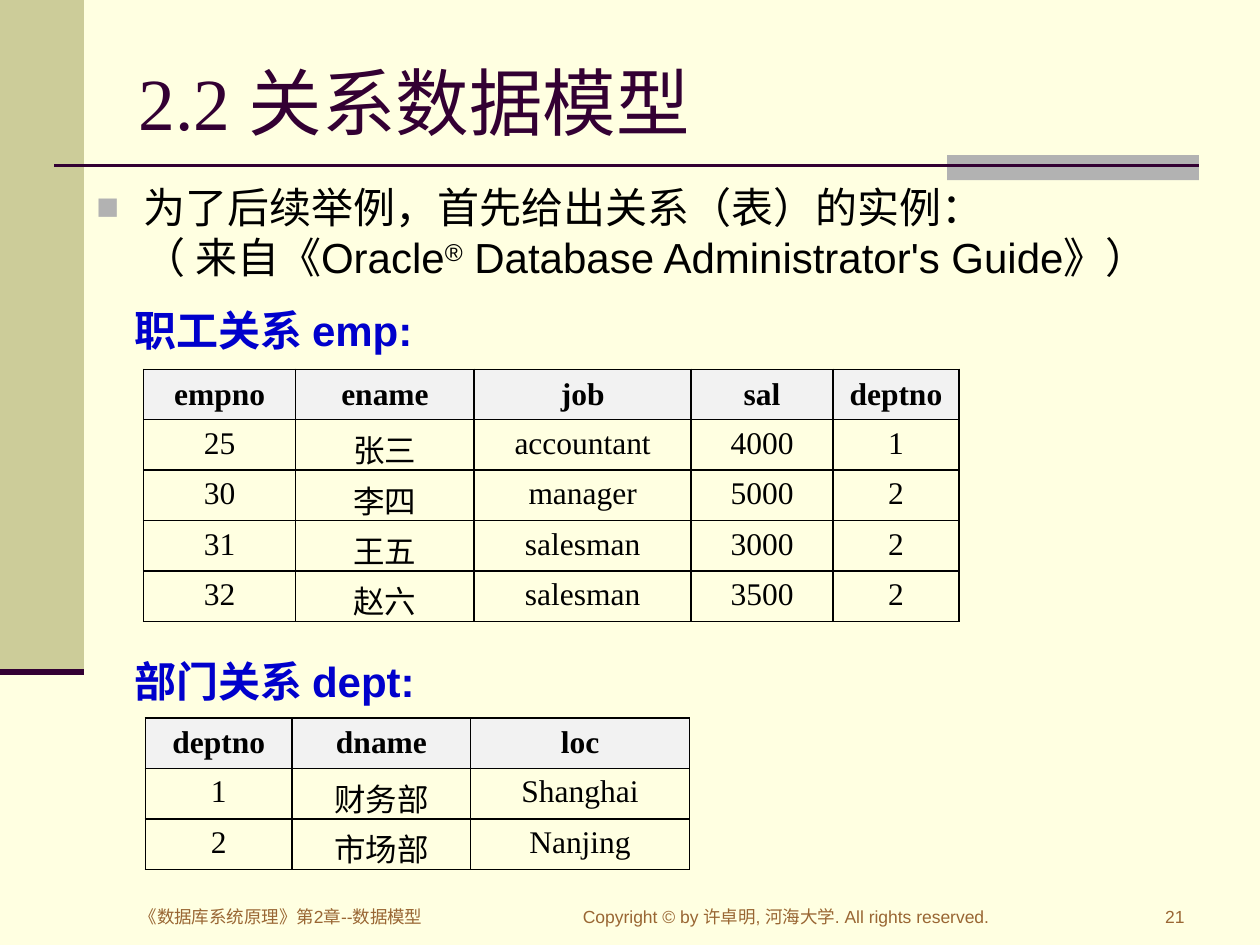
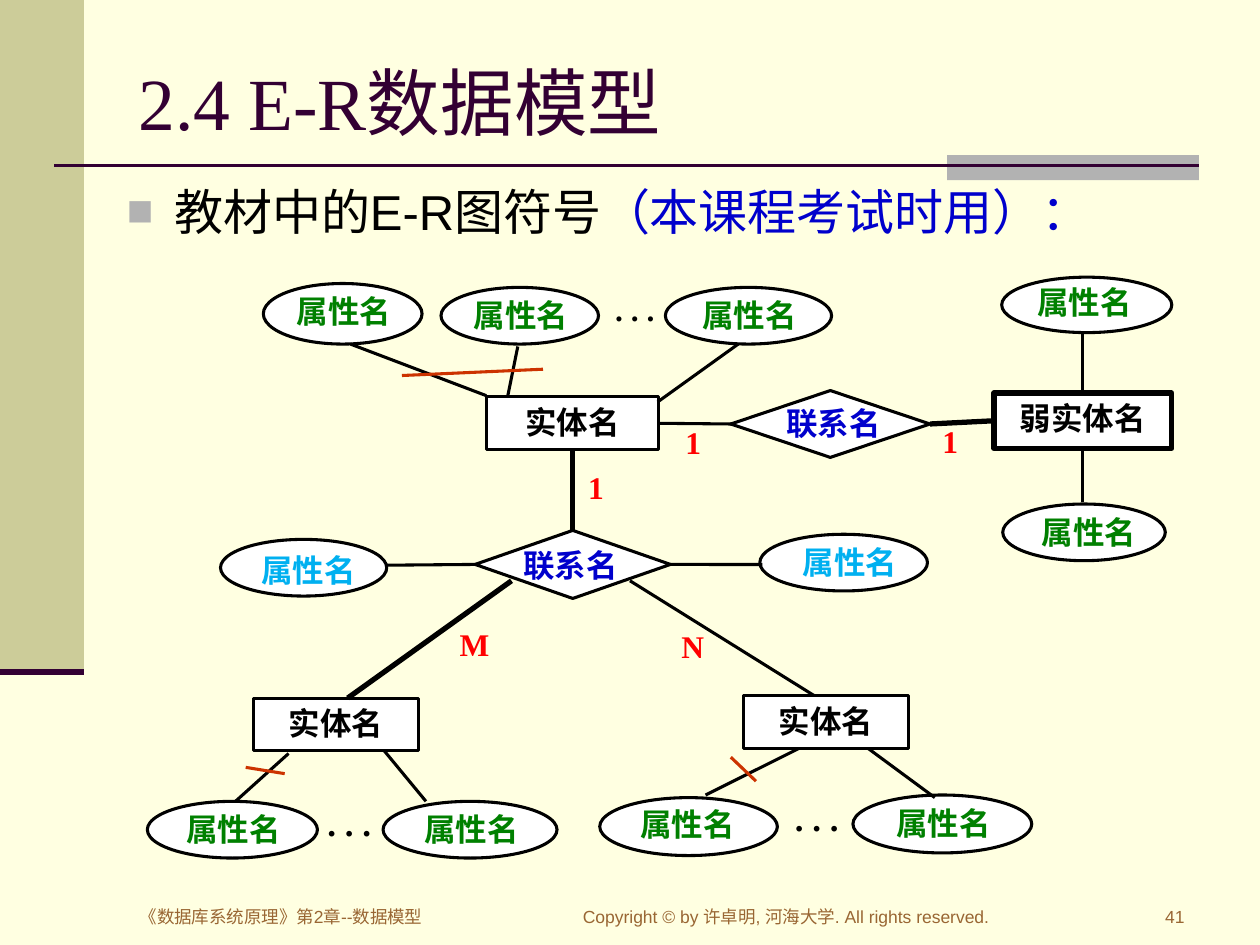
import pptx
import pptx.util
import pptx.dml.color
import pptx.enum.shapes
import pptx.enum.text
import pptx.oxml
import pptx.oxml.ns

Pt = pptx.util.Pt
hue = pptx.dml.color.RGBColor.from_string
Kind = pptx.enum.shapes.MSO_SHAPE
Align = pptx.enum.text.PP_ALIGN
Mid = pptx.enum.text.MSO_ANCHOR.MIDDLE
qn = pptx.oxml.ns.qn
space = pptx.oxml.ns.nsdecls("a")
SANS, SERIF = "Arial", "Times New Roman"
BLACK, WHITE, PLUM, BLUE = "000000", "FFFFFF", "330033", "0000CC"
GRAY, GREEN, SKY, RED, RUST = "B2B2B2", "008000", "00B0F0", "FF0000", "CC3300"


def put(slide, box, text="", size=18, font=SERIF, color=BLACK, bold=False,
        align=Align.LEFT, kind=None, fill=WHITE, line=None):
    area = [Pt(n) for n in box]
    if kind is None:
        shape = slide.shapes.add_textbox(*area)
    else:
        shape = slide.shapes.add_shape(kind, *area)
        shape.shadow.inherit = False
        shape.fill.solid()
        shape.fill.fore_color.rgb = hue(fill)
        if line:
            shape.line.color.rgb = hue(BLACK)
            shape.line.width = Pt(line)
        else:
            shape.line.fill.background()
    if text:
        frame = shape.text_frame
        frame.word_wrap = True
        frame.vertical_anchor = pptx.enum.text.MSO_ANCHOR.TOP
        frame.text = text
        par = frame.paragraphs[0]
        par.alignment = align
        for run in par.runs:
            run.font.size = Pt(size)
            run.font.name = font
            run.font.bold = bold
            run.font.color.rgb = hue(color)
    return shape


def wire(slide, ends, color=BLACK, width=1.75):
    link = slide.shapes.add_connector(
        pptx.enum.shapes.MSO_CONNECTOR.STRAIGHT, *[Pt(n) for n in ends])
    link.line.color.rgb = hue(color)
    link.line.width = Pt(width)
    link._element.spPr.append(pptx.oxml.parse_xml(f"<a:effectLst {space}/>"))
    return link


deck = pptx.Presentation()
deck.slide_width, deck.slide_height = Pt(720), Pt(540)

pages = [
    ("2.2 关系数据模型", "21", (48, 100, 641, 406), 24, [
        ("为了后续举例，首先给出关系（表）的实例：\v（ 来自《Oracle", BLACK, 0),
        ("®", BLACK, 30000),
        (" Database Administrator's Guide》）", BLACK, 0)]),
    ("2.4 E-R数据模型", "41", (65.5, 100, 612, 46), 28, [
        ("教材中的E-R图符号", BLACK, 0), ("（本课程考试时用）：", BLUE, 0)]),
]
slides = []
for title, num, box, size, parts in pages:
    slide = deck.slides.add_slide(deck.slide_layouts[6])
    slides.append(slide)
    slide.background.fill.solid()
    slide.background.fill.fore_color.rgb = hue("FFFFE1")
    put(slide, (0, 0, 48, 384), kind=Kind.RECTANGLE, fill="CCCC99")
    put(slide, (541.2, 88.6, 144, 14.4), kind=Kind.RECTANGLE, fill=GRAY)
    wire(slide, (31, 94.5, 685.2, 94.5), PLUM, 1.5)
    wire(slide, (0, 384, 48, 384), PLUM, 3.5)
    head = put(slide, (72, 21.6, 612, 72.7), title, 42, color=PLUM)
    head.text_frame.vertical_anchor = Mid

    body = put(slide, box, parts[0][0], size, SANS)
    par = body.text_frame.paragraphs[0]
    props = par._p.get_or_add_pPr()
    props.set("marL", str(Pt(27)))
    props.set("indent", str(-Pt(27)))
    for tag in (f'<a:buClr {space}><a:srgbClr val="{GRAY}"/></a:buClr>',
                f'<a:buSzPct {space} val="90000"/>',
                f'<a:buFont {space} typeface="{SANS}"/>',
                f'<a:buChar {space} char="■"/>'):
        props.append(pptx.oxml.parse_xml(tag))
    for text, color, lift in parts[1:]:
        run = par.add_run()
        run.text = text
        run.font.size = Pt(size)
        run.font.name = SANS
        run.font.color.rgb = hue(color)
        if lift:
            run._r.get_or_add_rPr().set("baseline", str(lift))

    for left, wide, text, align in (
            (632, 52, num, Align.RIGHT),
            (326, 255, "Copyright © by 许卓明, 河海大学. All rights reserved.", Align.LEFT),
            (72.7, 231, "《数据库系统原理》第2章--数据模型", Align.LEFT)):
        put(slide, (left, 514, wide, 22.3), text, 10, SANS, "996633", align=align)

first, second = slides

tables = [
    ("职工关系 emp:", 170.6, (82, 211), (87, 102, 124, 81, 72), (27, 22, 22, 22, 22), [
        ("empno", "ename", "job", "sal", "deptno"),
        ("25", "张三", "accountant", "4000", "1"),
        ("30", "李四", "manager", "5000", "2"),
        ("31", "王五", "salesman", "3000", "2"),
        ("32", "赵六", "salesman", "3500", "2")]),
    ("部门关系 dept:", 370.8, (83, 410.3), (84, 102, 125), (17.3, 22, 22), [
        ("deptno", "dname", "loc"),
        ("1", "财务部", "Shanghai"),
        ("2", "市场部", "Nanjing")]),
]
for label, top, spot, wides, highs, rows in tables:
    put(first, (69.8, top, 199.4, 31.7), label, 24, SANS, BLUE, True)
    grid = first.shapes.add_table(
        len(rows), len(wides), Pt(spot[0]), Pt(spot[1]), Pt(sum(wides)), Pt(sum(highs))).table
    grid.first_row = grid.horz_banding = False
    for col, wide in zip(grid.columns, wides):
        col.width = Pt(wide)
    for r, row in enumerate(rows):
        grid.rows[r].height = Pt(highs[r])
        for c, text in enumerate(row):
            cell = grid.cell(r, c)
            cell.text = text
            par = cell.text_frame.paragraphs[0]
            par.alignment = Align.CENTER
            font = par.runs[0].font
            font.size, font.name, font.bold = Pt(18), SERIF, r == 0
            font.color.rgb = hue(BLACK)
            props = cell._tc.get_or_add_tcPr()
            for side in ("lnL", "lnR", "lnT", "lnB"):
                props.append(pptx.oxml.parse_xml(
                    f'<a:{side} {space} w="12700"><a:solidFill>'
                    f'<a:srgbClr val="{BLACK}"/></a:solidFill></a:{side}>'))
            if r == 0:
                cell.vertical_anchor = Mid
                cell.fill.solid()
                cell.fill.fore_color.rgb = hue("F2F2F2")
            else:
                cell.fill.background()

nodes = {}
for name, box, text, line in (
        ("main", (278, 226.8, 98.6, 30.2), "实体名", 1.75),
        ("left", (144.7, 398.9, 94.3, 30.2), "实体名", 1.75),
        ("right", (424.8, 397.4, 94.3, 30.2), "实体名", 1.75),
        ("weak", (568, 224.6, 101.5, 31.7), "弱实体名", 3)):
    nodes[name] = put(second, box, text, bold=True, align=Align.CENTER,
                      kind=Kind.RECTANGLE, line=line)

for name, box, area in (
        ("low", (271.5, 303.1, 111.6, 38.9), (281.5, 308.2, 89.3, 28.8)),
        ("high", (417.6, 223.2, 113.8, 38.2), (430.6, 227.5, 91.4, 28))):
    nodes[name] = put(second, box, kind=Kind.FLOWCHART_DECISION, line=1.75)
    put(second, area, "联系名", color=BLUE, bold=True, align=Align.CENTER)

for x, y, w, h, dx, dy, color in (
        (150.5, 162, 90.7, 34.6, 0.7, 1.4, GREEN),
        (573, 288, 92.9, 32.4, 2.9, 1.4, GREEN),
        (380.2, 164.2, 95, 32.4, 0.7, 1.4, GREEN),
        (84.2, 457.9, 97.2, 32.4, 0.7, 1.4, GREEN),
        (218.9, 457.9, 99.4, 32.4, 0.7, 1.4, GREEN),
        (342.7, 455.8, 101.5, 33.1, -0.7, 0.7, GREEN),
        (487.4, 454.3, 102.2, 33.1, 0.7, 1.4, GREEN),
        (252, 164.2, 90, 32.4, 0.7, 1.4, GREEN),
        (572.4, 158.4, 97.2, 31.7, -1.4, 0, GREEN),
        (126, 308.2, 95, 32.4, 2.9, 2.9, SKY),
        (434.2, 305.3, 95.8, 32.4, 3.6, 1.4, SKY)):
    put(second, (x, y, w, h), kind=Kind.OVAL, line=1.75)
    put(second, (x + dx, y + dy, w, 28), "属性名", color=color, bold=True, align=Align.CENTER)

for x, y, size, align in (
        (180, 454.3, 20, Align.JUSTIFY),
        (447.1, 451.4, 20, Align.JUSTIFY),
        (341.3, 162, 18, Align.CENTER)):
    put(second, (x, y, 43, 28.8), ". . .", size, bold=True, align=align)

for ends, color, width in (
        ((292.3, 331.9, 198.7, 398.9), BLACK, 3),
        ((360, 331.9, 465.1, 397.4), BLACK, 1.75),
        ((277.9, 226.1, 200.2, 196.6), BLACK, 1.75),
        ((290.2, 226.1, 295.9, 198), BLACK, 1.75),
        ((375.8, 229.7, 421.9, 196.6), BLACK, 1.75),
        ((164.9, 430.6, 134.6, 457.9), BLACK, 1.75),
        ((219.6, 429.1, 243.4, 457.9), BLACK, 1.75),
        ((456.5, 427.7, 403.2, 454.3), BLACK, 1.75),
        ((534.2, 455.8, 496.1, 427.7), BLACK, 1.75),
        ((162.7, 442.1, 140.4, 438.5), RUST, 1.75),
        ((432, 446.4, 417.6, 432.7), RUST, 1.75),
        ((229.7, 214.6, 310.3, 211), RUST, 1.75)):
    wire(second, ends, color, width)

for start, a, end, b, width in (
        ("low", 0, "main", 2, 3),
        ("main", 3, "high", 1, 1.75),
        ("high", 3, "weak", 1, 3)):
    link = wire(second, (0, 0, 0, 0), width=width)
    link.begin_connect(nodes[start], a)
    link.end_connect(nodes[end], b)

for name, side, x, y in (
        ("low", 1, 220.3, 323),
        ("low", 3, 435.6, 322.6),
        ("weak", 0, 618.75, 189.4),
        ("weak", 2, 618.75, 286.6)):
    link = wire(second, (x, y, x, y))
    link.begin_connect(nodes[name], side)

for x, y, text in ((329, 264.2, "1"), (255.6, 353.5, "M"), (382.3, 355, "N"),
                   (384.5, 238.3, "1"), (531.4, 237.6, "1")):
    put(second, (x, y, 43, 28.8), text, color=RED, bold=True, align=Align.JUSTIFY)

deck.save("out.pptx")
